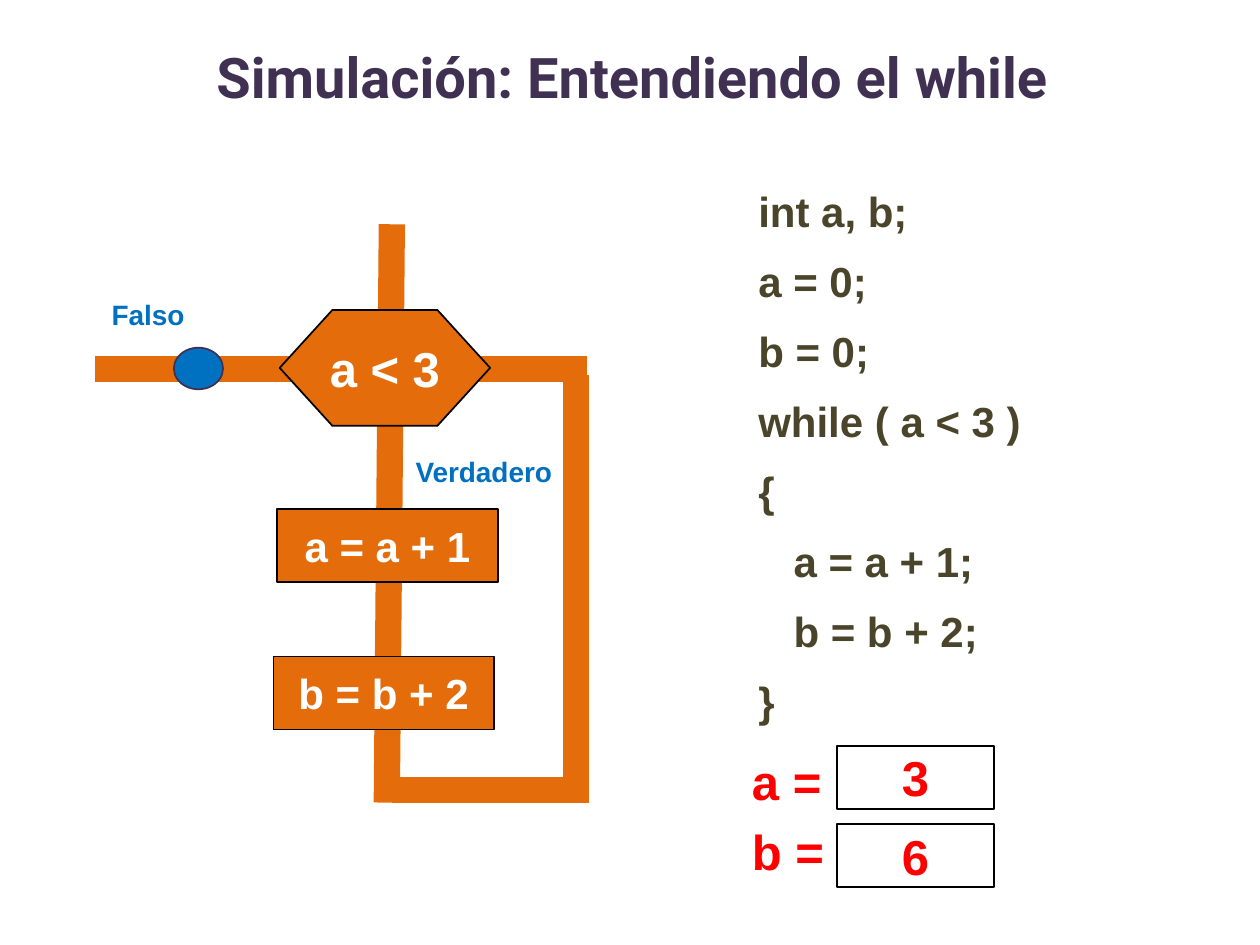
import pptx
import pptx.util
import pptx.dml.color
import pptx.enum.shapes
import pptx.enum.text
import pptx.oxml.ns
import lxml.etree

Inches = pptx.util.Inches
Pt = pptx.util.Pt
RGBColor = pptx.dml.color.RGBColor
SHAPE = pptx.enum.shapes.MSO_SHAPE
ALIGN = pptx.enum.text.PP_ALIGN
ANCHOR = pptx.enum.text.MSO_ANCHOR

ORANGE = RGBColor(0xE4, 0x6C, 0x0A)
BLUE = RGBColor(0x00, 0x70, 0xC0)
PURPLE = RGBColor(0x40, 0x31, 0x52)
OLIVE = RGBColor(0x4A, 0x45, 0x2A)
RED = RGBColor(0xFF, 0x00, 0x00)
WHITE = RGBColor(0xFF, 0xFF, 0xFF)
BLACK = RGBColor(0x00, 0x00, 0x00)


def write(frame, lines, size, color, font="Arial", align=ALIGN.CENTER, spacing=None,
          anchor=ANCHOR.MIDDLE, wrap=False):
    """Fill a text frame with bold lines, each given as (text, indent in inches)."""
    frame.word_wrap = wrap
    frame.vertical_anchor = anchor
    for index, (text, indent) in enumerate(lines):
        paragraph = frame.paragraphs[0] if index == 0 else frame.add_paragraph()
        paragraph.alignment = align
        if spacing:
            paragraph.line_spacing = Pt(spacing)
        if indent:
            paragraph._p.get_or_add_pPr().set("marL", str(Inches(indent)))
        run = paragraph.add_run()
        run.text = text
        run.font.name = font
        run.font.size = Pt(size)
        run.font.bold = True
        run.font.color.rgb = color


def add_text(slide, box, lines, size, color, **style):
    """Add a text box at the given left, top, width and height."""
    label = slide.shapes.add_textbox(*map(Inches, box))
    write(label.text_frame, lines, size, color, **style)


def add_node(slide, kind, box, fill, line=BLACK, text="", size=24, color=WHITE):
    """Add an outlined preset shape with an optional centred text."""
    node = slide.shapes.add_shape(kind, *map(Inches, box))
    node.shadow.inherit = False
    if fill is None:
        node.fill.background()
    else:
        node.fill.solid()
        node.fill.fore_color.rgb = fill
    node.line.color.rgb = line
    node.line.width = Pt(1)
    if text:
        write(node.text_frame, [(text, 0)], size, color)
    return node


def add_track(slide, start, end):
    """Add one thick orange stretch of the flow path."""
    track = slide.shapes.add_connector(
        pptx.enum.shapes.MSO_CONNECTOR.STRAIGHT, *map(Inches, start + end))
    track.line.color.rgb = ORANGE
    track.line.width = Pt(15)
    lxml.etree.SubElement(track._element.spPr, pptx.oxml.ns.qn("a:effectLst"))


def add_title(slide, box):
    """Place the slide title."""
    add_text(slide, box, [("Simulación: Entendiendo el while", 0)], 32, PURPLE,
             font="Roboto", wrap=True)


def add_flowchart(slide, left, top):
    """Draw the while loop as a flowchart from its top left corner."""
    for x1, y1, x2, y2 in [(2.32, 4.59, 2.36, 0), (2.36, 4.49, 3.86, 4.49),
                           (3.82, 4.59, 3.82, 1.2), (3.91, 1.15, 0, 1.15)]:
        add_track(slide, (left + x1, top + y1), (left + x2, top + y2))
    for text, x, y, width in [("Falso", 0.03, 0.53, 0.79), ("Verdadero", 2.44, 1.78, 1.3)]:
        add_text(slide, (left + x, top + y, width, 0.37), [(text, 0)], 16, BLUE,
                 anchor=ANCHOR.TOP)
    condition = add_node(slide, SHAPE.HEXAGON, (left + 1.47, top + 0.68, 1.67, 0.92),
                         ORANGE, text="a < 3", size=28)
    condition.adjustments[0] = 0.455
    for text, x, y in [("a = a + 1", 1.45, 2.26), ("b = b + 2", 1.42, 3.43)]:
        add_node(slide, SHAPE.RECTANGLE, (left + x, top + y, 1.75, 0.58), ORANGE, text=text)
    add_node(slide, SHAPE.OVAL, (left + 0.63, top + 0.98, 0.39, 0.33), BLUE, line=PURPLE)


def add_code(slide, box):
    """List the program, with the loop body indented."""
    body = 0.28
    lines = [("int a, b;", 0), ("a = 0;", 0), ("b = 0;", 0), ("while ( a < 3 )", 0),
             ("{", 0), ("a = a + 1;", body), ("b = b + 2;", body), ("}", 0)]
    add_text(slide, box, lines, 24, OLIVE, align=ALIGN.LEFT, spacing=40,
             anchor=ANCHOR.TOP, wrap=True)


def add_variables(slide, left, top):
    """Show the current value of each variable in a box."""
    values = {"a": "3", "b": "6"}
    add_text(slide, (left, top, 0.83, 1.22), [(f"{name} = ", 0) for name in values],
             28, RED, align=ALIGN.LEFT, spacing=40, anchor=ANCHOR.TOP, wrap=True)
    for row, value in enumerate(values.values()):
        add_node(slide, SHAPE.RECTANGLE, (left + 0.77, top + 0.09 + 0.62 * row, 1.25, 0.5),
                 None, text=value, size=28, color=RED)


def build():
    """Build and save the slide."""
    deck = pptx.Presentation()
    deck.slide_width = Inches(10)
    deck.slide_height = Inches(7.5)
    slide = deck.slides.add_slide(deck.slide_layouts[6])
    add_flowchart(slide, 0.75, 1.78)
    add_variables(slide, 5.87, 5.83)
    add_code(slide, (5.92, 1.27, 2.87, 4.59))
    add_title(slide, (1.22, -0.02, 7.6, 1.25))
    deck.save("out.pptx")


build()
